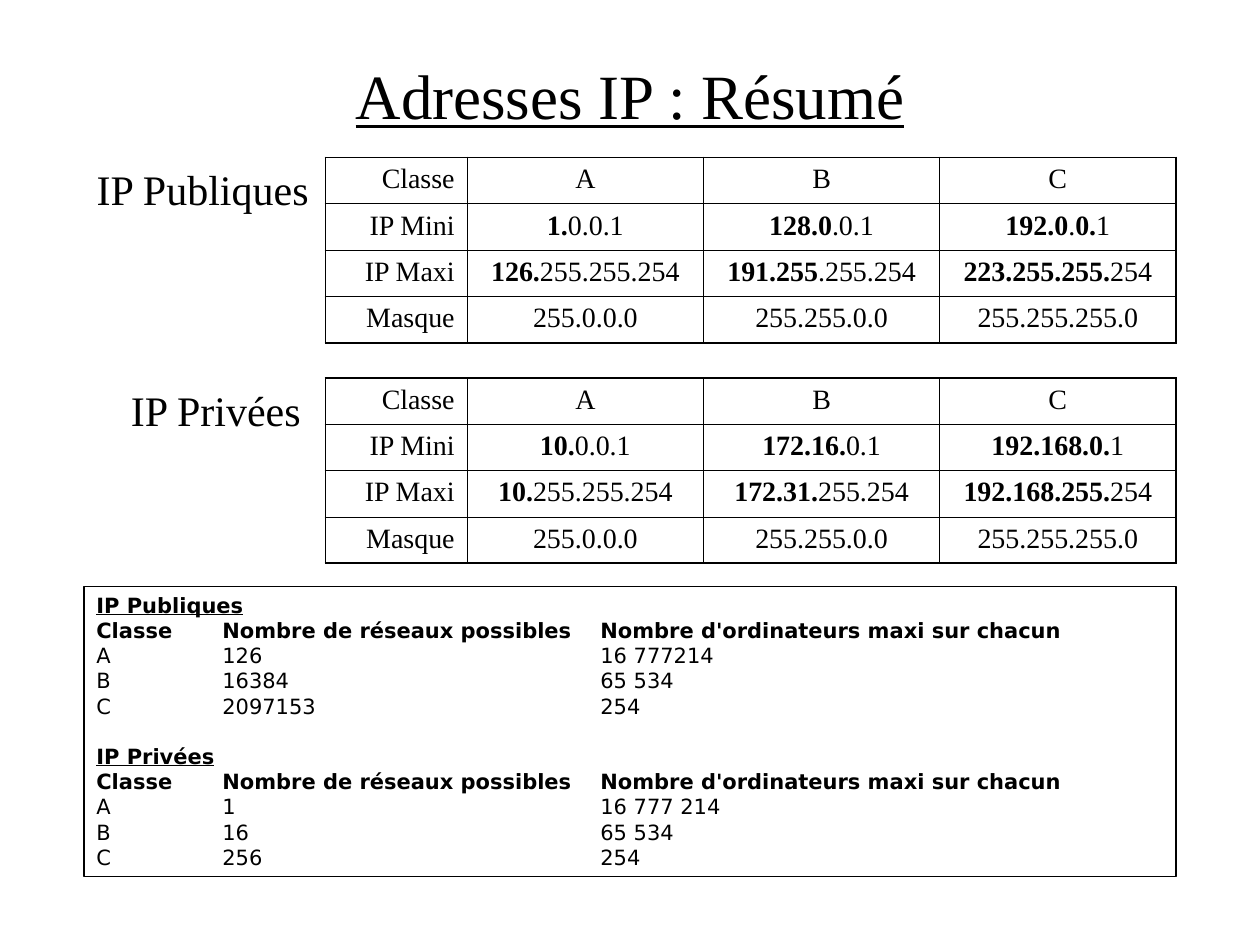
"""Build a slide summarising public and private IP address classes."""
from dataclasses import dataclass

import pptx
import pptx.dml.color
import pptx.enum.shapes
import pptx.enum.text
import pptx.oxml
import pptx.oxml.ns
import pptx.util

Pt = pptx.util.Pt
ALIGN = pptx.enum.text.PP_ALIGN
BLACK = pptx.dml.color.RGBColor(0x00, 0x00, 0x00)
SERIF = "Times New Roman"
SANS = "DejaVu Sans"
OUTER, INNER = 1.08, 0.45
TABLE_LEFT, TABLE_HEIGHT = 186, 106
COL_WIDTHS = (81, 135, 135, 135)
CLASSES = ("A", "B", "C")
MASKS = ("255.0.0.0", "255.255.0.0", "255.255.255.0")
NOTE_TABS = (72, 288)
NOTE_HEADER = "Classe\tNombre de réseaux possibles\tNombre d'ordinateurs maxi sur chacun"


@dataclass(frozen=True)
class AddressRange:
    """One address family; bars in addresses switch between bold and regular."""

    name: str
    label_left: float
    label_width: float
    top: float
    minimum: tuple[str, ...]
    maximum: tuple[str, ...]
    networks: tuple[str, ...]
    hosts: tuple[str, ...]


RANGES = (
    AddressRange("IP Publiques", 48.2, 136, 90,
                 ("1.|0.0.1", "128.0|.0.1", "192.0|.|0.|1"),
                 ("126.|255.255.254", "191.255|.255.254", "223.255.255.|254"),
                 ("126", "16384", "2097153"), ("16 777214", "65 534", "254")),
    AddressRange("IP Privées", 67.7, 112.3, 216,
                 ("10.|0.0.1", "172.16.|0.1", "192.168.0.|1"),
                 ("10.|255.255.254", "172.31.|255.254", "192.168.255.|254"),
                 ("1", "16", "256"), ("16 777 214", "65 534", "254")),
)


def format_run(r, size: float, font: str, bold: bool = False, underline: bool = False) -> None:
    """Apply the font settings to a run."""
    r.font.size = Pt(size)
    r.font.name = font
    r.font.bold = bold
    r.font.underline = underline
    r.font.color.rgb = BLACK


def add_label(slide, text: str, left: float, top: float, width: float, height: float,
              size: float, title: bool = False) -> None:
    """Add a one-line serif text box."""
    sp = slide.shapes.add_textbox(Pt(left), Pt(top), Pt(width), Pt(height))
    tf = sp.text_frame
    tf.text = text
    tf.word_wrap = title
    p = tf.paragraphs[0]
    if title:
        tf.vertical_anchor = pptx.enum.text.MSO_ANCHOR.MIDDLE
        p.alignment = ALIGN.CENTER
    format_run(p.runs[0], size, SERIF, underline=title)


def set_borders(cell, row: int, col: int, rows: int, cols: int) -> None:
    """Draw thick lines on the table outline and thin ones inside."""
    edges = {"L": col == 0, "R": col == cols - 1, "T": row == 0, "B": row == rows - 1}
    tc_pr = cell._tc.get_or_add_tcPr()
    for side, is_outer in edges.items():
        width = Pt(OUTER if is_outer else INNER)
        tc_pr.append(pptx.oxml.parse_xml(
            f'<a:ln{side} {pptx.oxml.ns.nsdecls("a")} w="{width}">'
            f'<a:solidFill><a:srgbClr val="{BLACK}"/></a:solidFill></a:ln{side}>'))


def fill_cell(cell, text: str, is_label: bool) -> None:
    """Write a cell, alternating bold and regular text at each bar."""
    p = cell.text_frame.paragraphs[0]
    p.alignment = ALIGN.RIGHT if is_label else ALIGN.CENTER
    p.space_before = Pt(4)
    parts = text.split("|")
    for i, part in enumerate(parts):
        r = p.add_run()
        r.text = part
        format_run(r, 16, SERIF, bold=len(parts) > 1 and i % 2 == 0)


def add_range_table(slide, item: AddressRange) -> None:
    """Add the class table of one address family."""
    rows = (("Classe", *CLASSES), ("IP Mini", *item.minimum),
            ("IP Maxi", *item.maximum), ("Masque", *MASKS))
    n_rows, n_cols = len(rows), len(COL_WIDTHS)
    table = slide.shapes.add_table(n_rows, n_cols, Pt(TABLE_LEFT), Pt(item.top),
                                   Pt(sum(COL_WIDTHS)), Pt(TABLE_HEIGHT)).table
    table.first_row = table.horz_banding = False
    for column, width in zip(table.columns, COL_WIDTHS):
        column.width = Pt(width)
    for i, row in enumerate(rows):
        table.rows[i].height = Pt(TABLE_HEIGHT / n_rows)
        for j, text in enumerate(row):
            cell = table.cell(i, j)
            cell.margin_left = cell.margin_right = Pt(7.2)
            cell.margin_top = cell.margin_bottom = Pt(3.6)
            set_borders(cell, i, j, n_rows, n_cols)
            cell.fill.background()
            fill_cell(cell, text, is_label=j == 0)


def set_tabs(p, positions: tuple[float, ...]) -> None:
    """Give a paragraph left tab stops."""
    stops = "".join(f'<a:tab pos="{Pt(pos)}" algn="l"/>' for pos in positions)
    p._p.get_or_add_pPr().append(pptx.oxml.parse_xml(
        f'<a:tabLst {pptx.oxml.ns.nsdecls("a")}>{stops}</a:tabLst>'))


def add_notes_box(slide, ranges: tuple[AddressRange, ...]) -> None:
    """Add the framed list of network and host counts."""
    sp = slide.shapes.add_shape(pptx.enum.shapes.MSO_SHAPE.RECTANGLE,
                                Pt(48), Pt(335), Pt(624), Pt(166))
    sp.shadow.inherit = False
    sp.fill.background()
    sp.line.color.rgb = BLACK
    sp.line.width = Pt(0.75)
    tf = sp.text_frame
    tf.word_wrap = True
    tf.vertical_anchor = pptx.enum.text.MSO_ANCHOR.TOP
    for k, item in enumerate(ranges):
        counts = zip(CLASSES, item.networks, item.hosts)
        lines = (item.name, NOTE_HEADER, *("\t".join(row) for row in counts))
        for i, line in enumerate(lines):
            p = tf.paragraphs[0] if k == i == 0 else tf.add_paragraph()
            p.text = line
            p.alignment = ALIGN.LEFT
            if k > 0 and i == 0:
                p.space_before = Pt(14.4)
            set_tabs(p, NOTE_TABS)
            for r in p.runs:
                format_run(r, 12, SANS, bold=i < 2, underline=i == 0)


def main() -> None:
    """Create and save the presentation."""
    prs = pptx.Presentation()
    prs.slide_width, prs.slide_height = Pt(720), Pt(540)
    slide = prs.slides.add_slide(prs.slide_layouts[6])
    add_label(slide, "Adresses IP : Résumé", 54, 18, 612, 72, 36, title=True)
    add_notes_box(slide, RANGES)
    for item in RANGES:
        add_range_table(slide, item)
        add_label(slide, item.name, item.label_left, item.top, item.label_width, 36, 24)
    prs.save("out.pptx")


if __name__ == "__main__":
    main()
